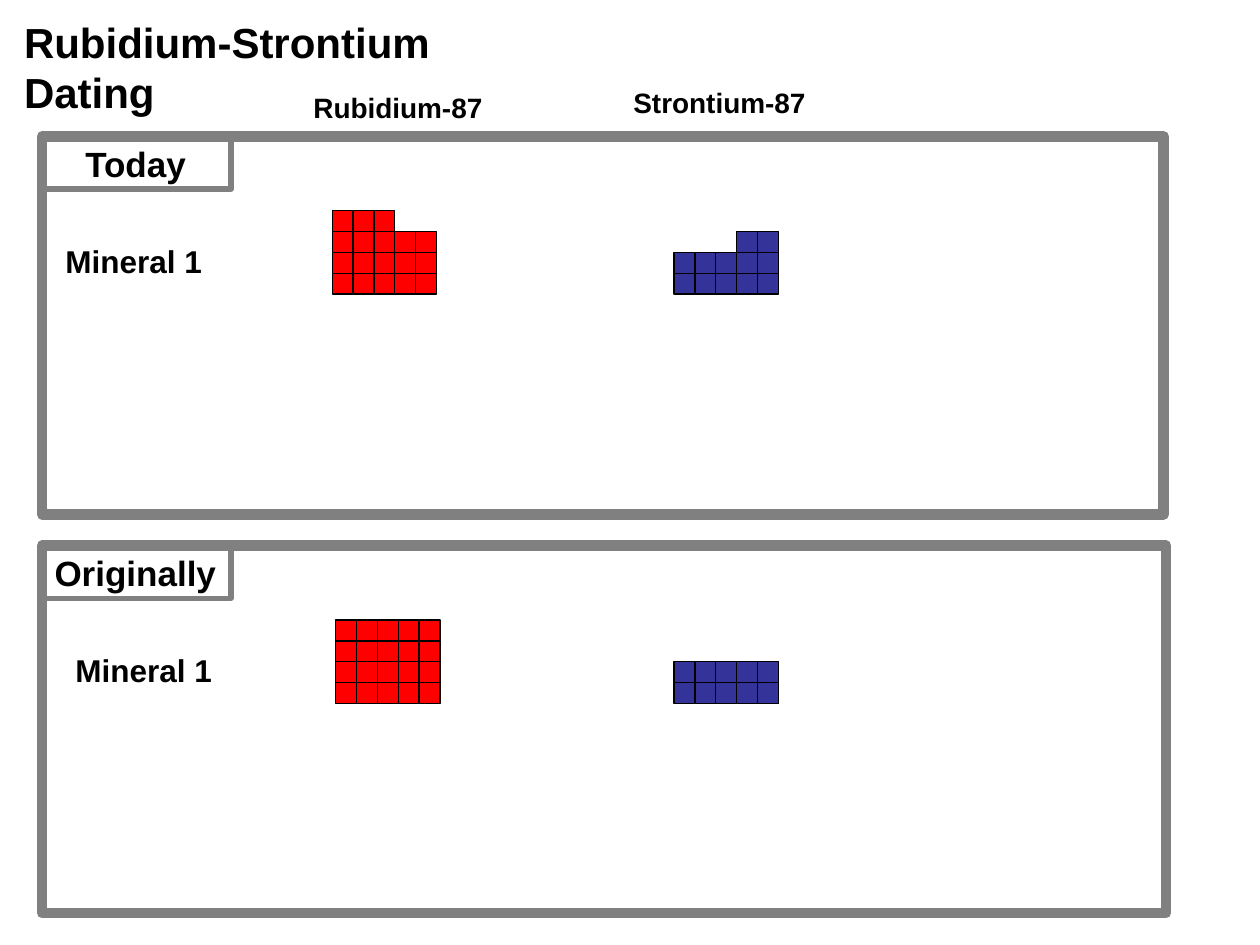
"""Build the rubidium-strontium dating slide with counted isotope blocks."""
from pptx import Presentation
from pptx.dml.color import RGBColor
from pptx.enum.shapes import MSO_SHAPE as Shape
from pptx.enum.text import MSO_ANCHOR as Anchor, MSO_AUTO_SIZE as AutoSize, PP_ALIGN as Align
from pptx.util import Cm, Pt

BLACK = RGBColor(0x00, 0x00, 0x00)
GREY = RGBColor(0x80, 0x80, 0x80)
RED = RGBColor(0xFF, 0x00, 0x00)
BLUE = RGBColor(0x33, 0x33, 0x99)

TITLE = ("Rubidium-Strontium Dating", (0.23, 0.2, 11.56, 1.27), 24)
ISOTOPES = [
    ("Rubidium-87", (6.07, 1.7, 3.91, 0.94), 16),
    ("Strontium-87", (12.52, 1.6, 3.96, 0.94), 16),
]
PANELS = [
    {
        "top": 2.75, "size": (22.61, 7.62),
        "period": ("Today", 1.47, 2.59),
        "mineral": ("Mineral 1", 1.07),
        "stacks": [
            (RED, 6.7, ["###..", "#####", "#####", "#####"]),
            (BLUE, 13.59, ["...##", "#####", "#####"]),
        ],
    },
    {
        "top": 11, "size": (22.66, 7.41),
        "period": ("Originally", 0.85, 3.76),
        "mineral": ("Mineral 1", 1.27),
        "stacks": [
            (RED, 6.77, ["#####"] * 4),
            (BLUE, 13.59, ["#####"] * 2),
        ],
    },
]
PANEL_LEFT = 0.85
TAG_SIZE = (3.81, 1.06)
MINERAL_DROP = 2
STACK_DROP = 3.18
ATOM = 0.42


def write(label, text, points):
    frame = label.text_frame
    frame.text = text
    frame.word_wrap = False
    frame.auto_size = AutoSize.NONE
    frame.vertical_anchor = Anchor.TOP
    paragraph = frame.paragraphs[0]
    paragraph.alignment = Align.LEFT
    font = paragraph.font
    font.name, font.size, font.bold = "Arial", Pt(points), True
    font.color.rgb = BLACK


def add_label(slide, text, box, points):
    write(slide.shapes.add_textbox(*map(Cm, box)), text, points)


def add_box(slide, box, outline, width, fill=None):
    rect = slide.shapes.add_shape(Shape.RECTANGLE, *map(Cm, box))
    rect.shadow.inherit = False
    if fill is None:
        rect.fill.background()
    else:
        rect.fill.solid()
        rect.fill.fore_color.rgb = fill
    rect.line.color.rgb = outline
    rect.line.width = Pt(width)


def add_stack(slide, color, left, bottom, rows):
    for level, row in enumerate(reversed(rows), start=1):
        for column, mark in enumerate(row):
            if mark == "#":
                box = (left + column * ATOM, bottom - level * ATOM, ATOM, ATOM)
                add_box(slide, box, BLACK, 0.75, color)


def add_panel(slide, panel):
    top = panel["top"]
    for color, left, rows in panel["stacks"]:
        add_stack(slide, color, left, top + STACK_DROP, rows)
    add_box(slide, (PANEL_LEFT, top, *panel["size"]), GREY, 6)
    add_box(slide, (PANEL_LEFT, top, *TAG_SIZE), GREY, 3)
    period, left, width = panel["period"]
    add_label(slide, period, (left, top, width, 1.12), 20)
    mineral, left = panel["mineral"]
    add_label(slide, mineral, (left, top + MINERAL_DROP, 3.25, 1.02), 18)


def main():
    deck = Presentation()
    deck.slide_width, deck.slide_height = Cm(25.4), Cm(19.05)
    slide = deck.slides.add_slide(deck.slide_layouts[5])
    heading = slide.shapes.title
    text, box, points = TITLE
    heading.left, heading.top, heading.width, heading.height = map(Cm, box)
    write(heading, text, points)
    for isotope in ISOTOPES:
        add_label(slide, *isotope)
    for panel in PANELS:
        add_panel(slide, panel)
    deck.save("out.pptx")


if __name__ == "__main__":
    main()
